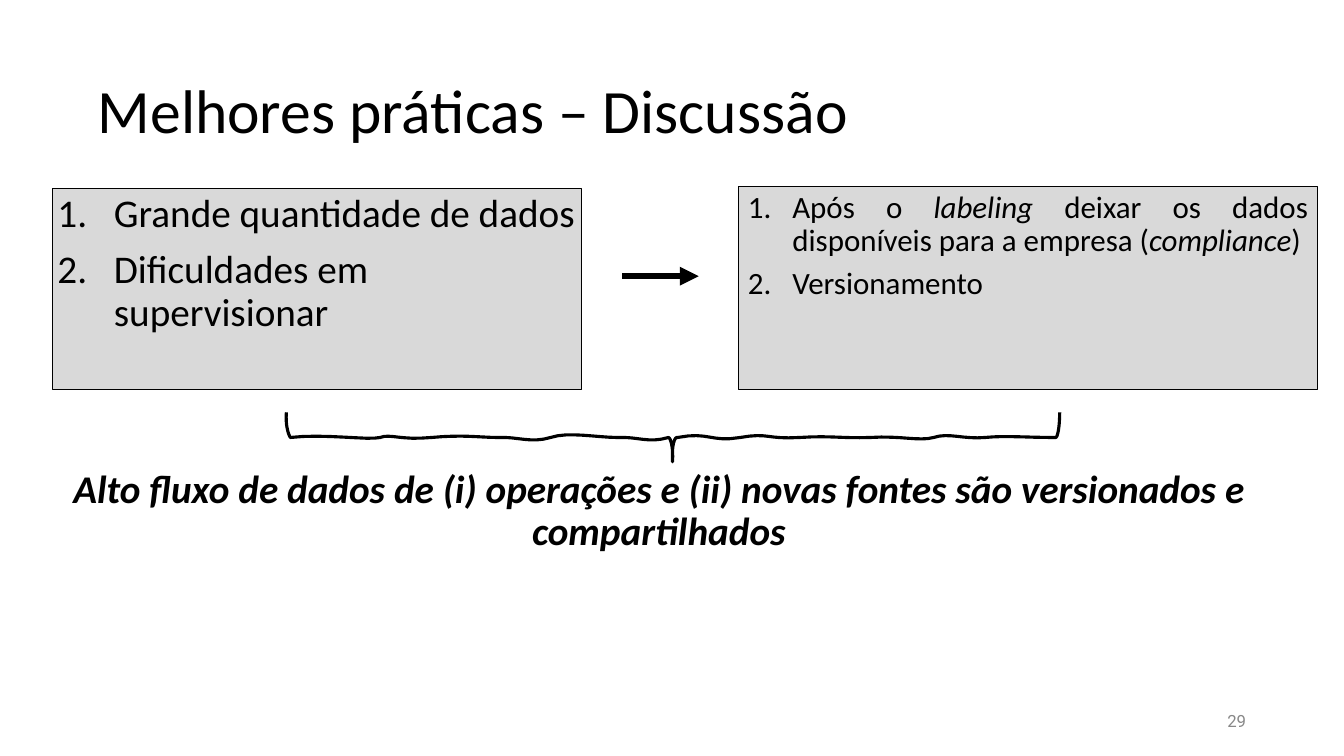
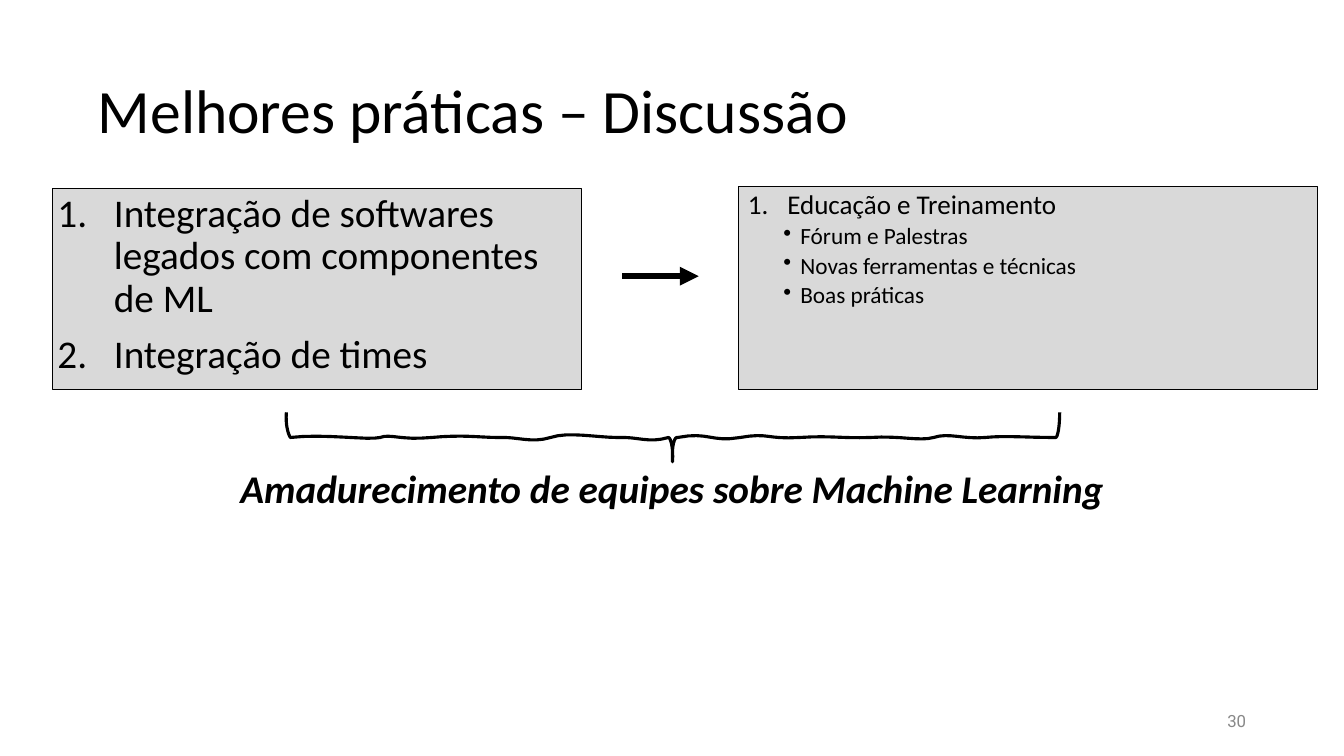
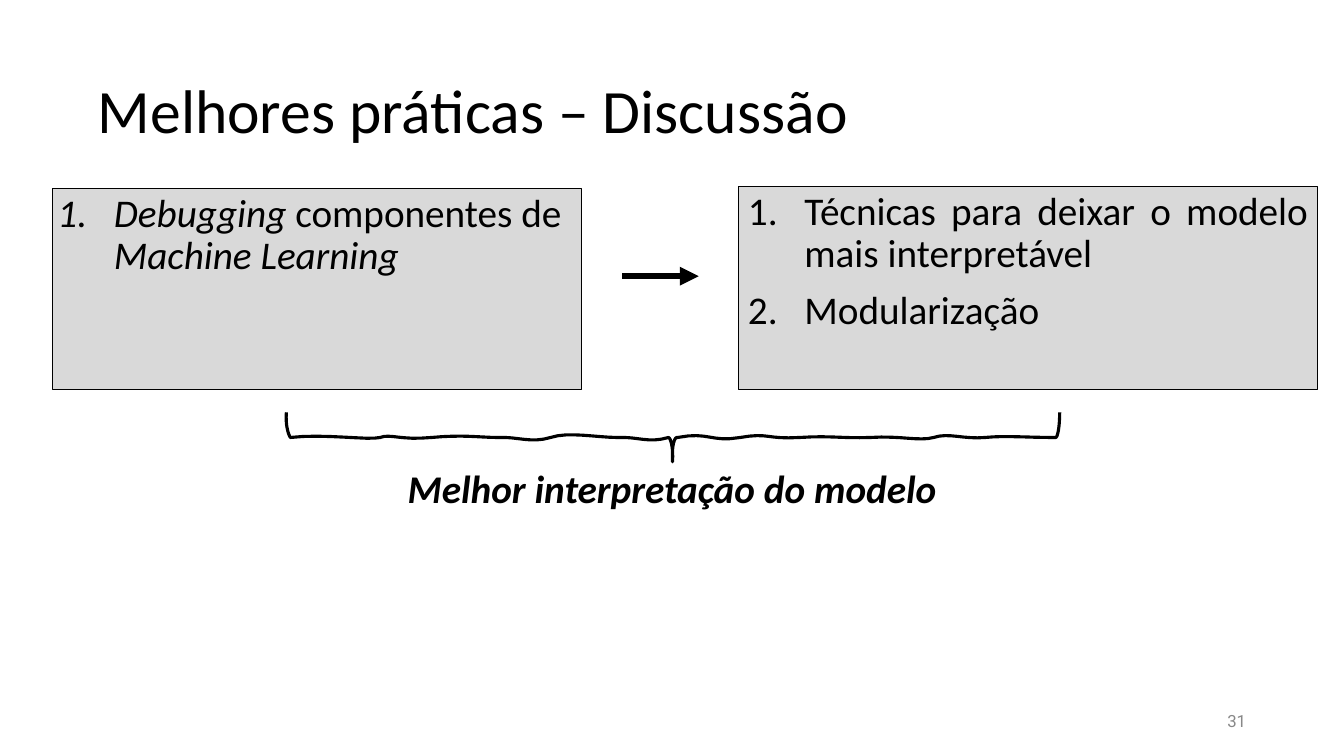
from dataclasses import dataclass

from lxml.etree import SubElement
from pptx import Presentation
from pptx.dml.color import RGBColor
from pptx.enum.shapes import MSO_CONNECTOR as Connector, MSO_SHAPE as Shape
from pptx.enum.text import MSO_ANCHOR as Anchor, PP_ALIGN as Align
from pptx.oxml.ns import qn
from pptx.util import Inches, Pt


@dataclass(frozen=True)
class ListStyle:
    """Type size, indents and spacing of one list level."""
    size: float
    indent: float
    hanging: float
    before: float
    marker: str = ""


@dataclass(frozen=True)
class Theme:
    """Colours, fonts, type sizes and list styles of the deck."""
    ink: RGBColor = RGBColor(0x00, 0x00, 0x00)
    panel: RGBColor = RGBColor(0xD9, 0xD9, 0xD9)
    muted: RGBColor = RGBColor(0x88, 0x88, 0x88)
    font: str = "Calibri"
    number_font: str = "Roboto"
    title: float = 44
    conclusion: float = 28
    number: float = 12
    line_spacing: float = 0.9
    inset: float = 0.05
    large: ListStyle = ListStyle(28, 0.56, 0.56, 10)
    medium: ListStyle = ListStyle(22.1, 0.44, 0.44, 7)
    small: ListStyle = ListStyle(19.3, 0.39, 0.39, 6)
    detail: ListStyle = ListStyle(16.6, 0.52, 0.17, 3, "•")


THEME = Theme()

BRACE_START = (10.51, 4.09)
BRACE_CURVES = [
    ((10.51, 4.23), (10.49, 4.34), (10.47, 4.34)),
    ((10.16, 4.34), (9.98, 4.32), (9.77, 4.34)),
    ((9.56, 4.36), (9.41, 4.29), (9.26, 4.34)),
    ((9.11, 4.38), (8.94, 4.32), (8.63, 4.34)),
    ((8.32, 4.35), (8.26, 4.32), (7.93, 4.34)),
    ((7.6, 4.36), (7.63, 4.29), (7.34, 4.34)),
    ((7.05, 4.39), (7.03, 4.28), (6.72, 4.34)),
    ((6.69, 4.33), (6.66, 4.42), (6.67, 4.58)),
    ((6.68, 4.44), (6.65, 4.34), (6.63, 4.34)),
    ((6.43, 4.4), (6.33, 4.33), (6.12, 4.34)),
    ((5.92, 4.34), (5.64, 4.28), (5.46, 4.34)),
    ((5.27, 4.4), (5.13, 4.33), (4.94, 4.34)),
    ((4.76, 4.34), (4.59, 4.31), (4.28, 4.34)),
    ((3.97, 4.37), (3.87, 4.3), (3.77, 4.34)),
    ((3.66, 4.37), (3.2, 4.3), (2.88, 4.34)),
    ((2.86, 4.31), (2.83, 4.22), (2.84, 4.09)),
]


def curve_points(start, curves, steps=8):
    """Return points along a chain of cubic curves."""
    points = []
    for first, second, end in curves:
        for step in range(1, steps + 1):
            t = step / steps
            weights = ((1 - t) ** 3, 3 * t * (1 - t) ** 2, 3 * t ** 2 * (1 - t), t ** 3)
            knots = (start, first, second, end)
            points.append(tuple(
                Inches(sum(w * knot[axis] for w, knot in zip(weights, knots)))
                for axis in (0, 1)))
        start = end
    return points


class Deck:
    """Draws the elements of the current slide in the deck's style."""

    def __init__(self, theme):
        """Start an empty widescreen presentation."""
        self.theme = theme
        self.presentation = Presentation()
        self.presentation.slide_width = Inches(13.33)
        self.presentation.slide_height = Inches(7.5)
        self.slide = None

    def new_slide(self):
        """Add a blank slide and make it current."""
        self.slide = self.presentation.slides.add_slide(self.presentation.slide_layouts[6])

    def style_run(self, run, size, color=None, font=None, bold=False, italic=False):
        """Apply type settings to one run."""
        run.font.size = Pt(size)
        run.font.name = font or self.theme.font
        run.font.color.rgb = color or self.theme.ink
        run.font.bold = bold
        run.font.italic = italic

    def set_insets(self, frame, side=None):
        """Set the inner margins of a text frame."""
        frame.margin_top = frame.margin_bottom = Inches(self.theme.inset)
        frame.margin_left = frame.margin_right = Inches(side or self.theme.inset)

    def label(self, text, box, size, align=Align.LEFT, anchor=Anchor.TOP, **style):
        """Add one paragraph of text and return it."""
        frame = self.slide.shapes.add_textbox(*map(Inches, box)).text_frame
        frame.word_wrap = True
        frame.vertical_anchor = anchor
        self.set_insets(frame)
        frame.text = text
        paragraph = frame.paragraphs[0]
        paragraph.alignment = align
        self.style_run(paragraph.runs[0], size, **style)
        return paragraph

    def title(self, text):
        """Add the slide title."""
        heading = self.label(text, (0.92, 0.4, 11.5, 1.45), self.theme.title, anchor=Anchor.MIDDLE)
        heading.line_spacing = self.theme.line_spacing

    def page_number(self, number):
        """Add the page number at the bottom right."""
        self.label(str(number), (11.81, 7.02, 0.6, 0.27), self.theme.number,
                   Align.RIGHT, Anchor.MIDDLE,
                   color=self.theme.muted, font=self.theme.number_font)

    def conclusion(self, text, width):
        """Add the emphasised statement under the brace."""
        statement = self.label(text, (0.05, 4.61, width, 1.49), self.theme.conclusion,
                               Align.CENTER, bold=True, italic=True)
        statement.line_spacing = self.theme.line_spacing

    def list_item(self, paragraph, text, level, align, first):
        """Fill one list paragraph, with italics between asterisks."""
        properties = paragraph._p.get_or_add_pPr()
        properties.set("marL", str(Inches(level.indent)))
        properties.set("indent", str(-Inches(level.hanging)))
        if level.marker:
            SubElement(properties, qn("a:buChar")).set("char", level.marker)
        else:
            SubElement(properties, qn("a:buAutoNum")).set("type", "arabicPeriod")
        paragraph.alignment = align
        paragraph.line_spacing = self.theme.line_spacing
        paragraph.space_before = Pt(0 if first else level.before)
        for index, part in enumerate(text.split("*")):
            if part:
                run = paragraph.add_run()
                run.text = part
                self.style_run(run, level.size, italic=index % 2 == 1)

    def panel(self, box, items, align=Align.LEFT, side=None):
        """Add a grey panel holding a list."""
        panel = self.slide.shapes.add_shape(Shape.RECTANGLE, *map(Inches, box))
        panel.shadow.inherit = False
        panel.fill.solid()
        panel.fill.fore_color.rgb = self.theme.panel
        panel.line.color.rgb = self.theme.ink
        panel.line.width = Pt(0.75)
        frame = panel.text_frame
        frame.word_wrap = True
        frame.vertical_anchor = Anchor.TOP
        self.set_insets(frame, side)
        for index, (text, level) in enumerate(items):
            paragraph = frame.add_paragraph() if index else frame.paragraphs[0]
            self.list_item(paragraph, text, level, align, index == 0)

    def arrow(self):
        """Add the arrow between the panels."""
        arrow = self.slide.shapes.add_connector(
            Connector.STRAIGHT, *map(Inches, (6.17, 2.74, 6.93, 2.74)))
        arrow.line.color.rgb = self.theme.ink
        arrow.line.width = Pt(4.5)
        SubElement(arrow.line._get_or_add_ln(), qn("a:tailEnd")).set("type", "triangle")
        SubElement(arrow._element.spPr, qn("a:effectLst"))

    def brace(self):
        """Add the hand-drawn brace under both panels."""
        outline = self.slide.shapes.build_freeform(*map(Inches, BRACE_START))
        outline.add_line_segments(curve_points(BRACE_START, BRACE_CURVES), close=False)
        brace = outline.convert_to_shape()
        brace.shadow.inherit = False
        brace.fill.background()
        brace.line.color.rgb = self.theme.ink
        brace.line.width = Pt(2.25)

    def discussion(self, number, challenges, practices, conclusion, conclusion_width=13.23):
        """Build one slide leading from challenges to practices to a conclusion."""
        self.new_slide()
        self.title("Melhores práticas – Discussão")
        self.panel((0.52, 1.87, 5.25, 1.99), challenges)
        self.page_number(number)
        self.panel((7.32, 1.85, 5.75, 2.01), practices, Align.JUSTIFY, side=0.1)
        self.arrow()
        self.conclusion(conclusion, conclusion_width)
        self.brace()


def main():
    """Build and save the three discussion slides."""
    deck = Deck(THEME)
    large, medium, small, detail = THEME.large, THEME.medium, THEME.small, THEME.detail
    deck.discussion(
        29,
        [("Grande quantidade de dados", large), ("Dificuldades em supervisionar", large)],
        [("Após o *labeling *deixar os dados disponíveis para a empresa (*compliance*)", medium),
         ("Versionamento", medium)],
        "Alto fluxo de dados de (i) operações e (ii) novas fontes são versionados e compartilhados",
        conclusion_width=12.97)
    deck.discussion(
        30,
        [("Integração de softwares legados com componentes de ML", large),
         ("Integração de times", large)],
        [("Educação e Treinamento", small),
         ("Fórum e Palestras", detail),
         ("Novas ferramentas e técnicas", detail),
         ("Boas práticas", detail)],
        "Amadurecimento de equipes sobre Machine Learning")
    deck.discussion(
        31,
        [("*Debugging* componentes de *Machine Learning*", large)],
        [("Técnicas para deixar o modelo mais interpretável", large), ("Modularização", large)],
        "Melhor interpretação do modelo")
    deck.presentation.save("out.pptx")


if __name__ == "__main__":
    main()
